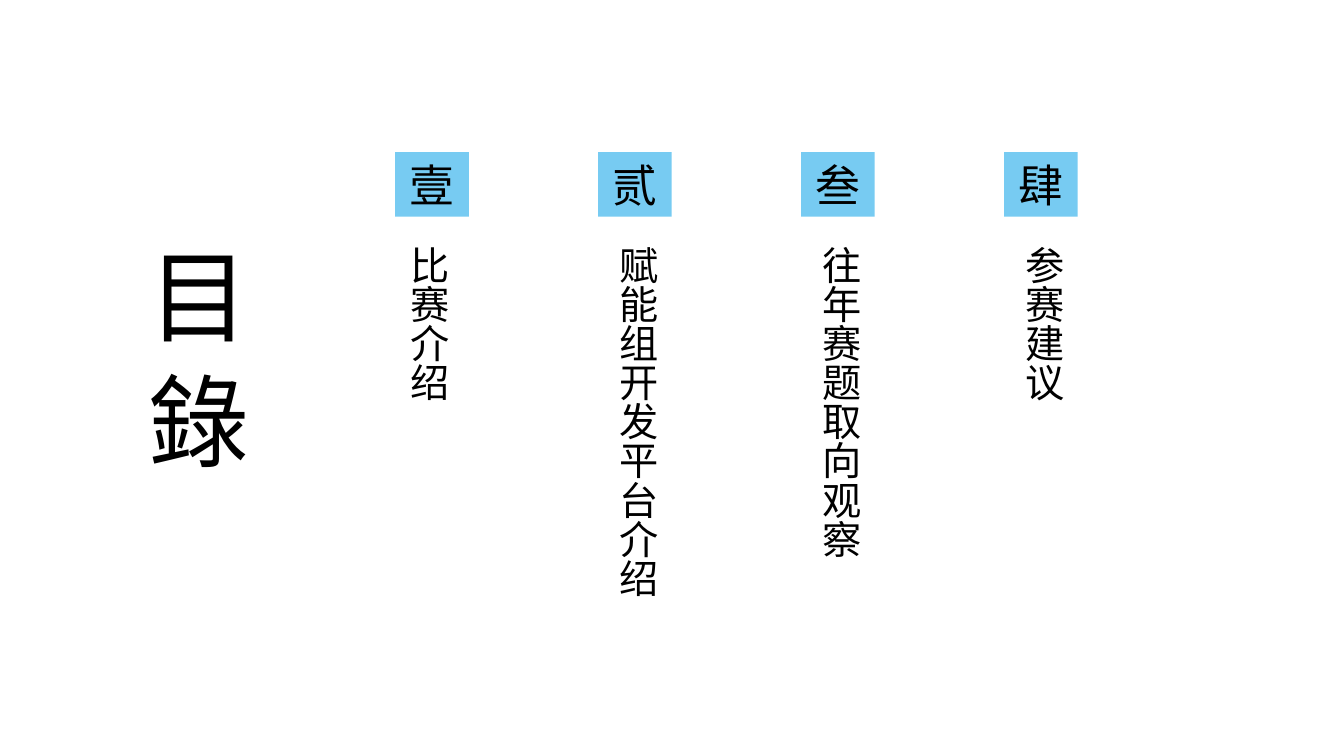
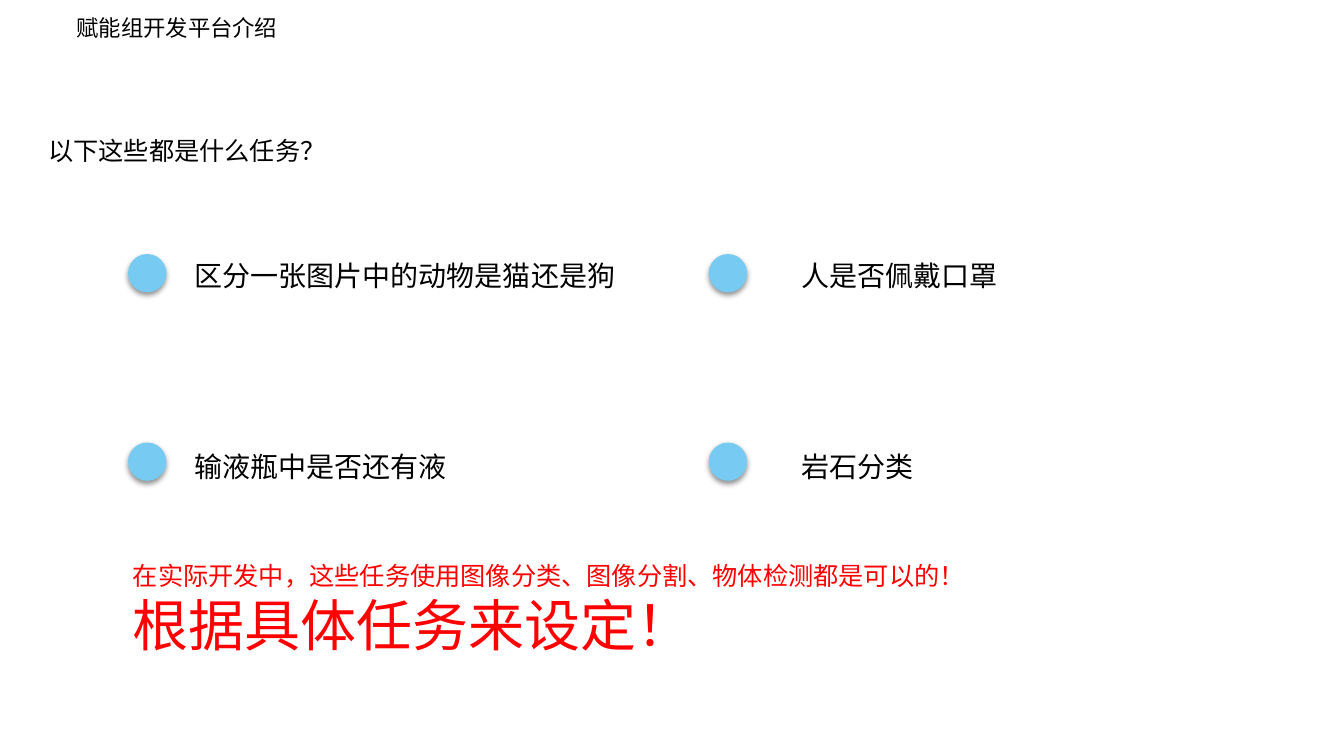
from lxml import etree
from pptx import Presentation
from pptx.dml.color import RGBColor
from pptx.enum.shapes import MSO_SHAPE
from pptx.enum.text import MSO_ANCHOR, MSO_AUTO_SIZE, PP_ALIGN
from pptx.oxml.ns import qn
from pptx.util import Inches, Pt

RECTANGLE, OVAL = MSO_SHAPE.RECTANGLE, MSO_SHAPE.OVAL
MIDDLE, CENTER = MSO_ANCHOR.MIDDLE, PP_ALIGN.CENTER
FIT_SHAPE = MSO_AUTO_SIZE.SHAPE_TO_FIT_TEXT
SKY, BLACK, RED = "77CBF2", "000000", "FF0000"
SANS, TRADITIONAL, LATIN = "Noto Sans CJK SC", "Noto Sans CJK JP", "Arial"


def color(value):
    """Turn a hex string into a colour."""
    return RGBColor.from_string(value)


def add_run(paragraph, text, size, ink=BLACK, font=SANS):
    """Add one run with the same Latin and East Asian typeface."""
    run = paragraph.add_run()
    run.text = text
    run.font.size = Pt(size)
    run.font.color.rgb = color(ink)
    run.font.name = font
    latin = run.font._element.find(qn("a:latin"))
    east_asian = etree.Element(qn("a:ea"), typeface=font)
    latin.addnext(east_asian)


def add_text(slide, box, lines, ink=BLACK, font=SANS, wrap=True,
             vertical=False, align=None, spacing=None):
    """Add a text box with one paragraph for each (text, size) line."""
    shape = slide.shapes.add_textbox(*map(Inches, box))
    frame = shape.text_frame
    frame.word_wrap = wrap
    frame.auto_size = FIT_SHAPE
    if vertical:
        frame._txBody.find(qn("a:bodyPr")).set("vert", "eaVert")
    for index, (text, size) in enumerate(lines):
        paragraph = frame.add_paragraph() if index else frame.paragraphs[0]
        paragraph.alignment = align
        paragraph.line_spacing = spacing
        add_run(paragraph, text, size, ink, font)


def add_plain_shape(slide, kind, box):
    """Add a sky-blue shape without outline or shadow."""
    shape = slide.shapes.add_shape(kind, *map(Inches, box))
    shape.shadow.inherit = False
    shape.fill.solid()
    shape.fill.fore_color.rgb = color(SKY)
    shape.line.fill.background()
    return shape


def add_shadow(shape):
    """Give a shape a soft shadow that falls straight down."""
    effects = shape._element.spPr.find(qn("a:effectLst"))
    shadow = etree.SubElement(
        effects, qn("a:outerShdw"), blurRad=str(Pt(4)), dist=str(Pt(2)),
        dir="5400000", algn="ctr", rotWithShape="0")
    shade = etree.SubElement(shadow, qn("a:srgbClr"), val=BLACK)
    etree.SubElement(shade, qn("a:alpha"), val="43000")


def add_chapter(slide, left, top, numeral, title, height, width=0.91,
                shift=0, spacing=1.5):
    """Add a numeral badge with its vertical chapter title below."""
    badge = add_plain_shape(slide, RECTANGLE, (left, top, 0.73, 0.64))
    frame = badge.text_frame
    frame.word_wrap = True
    frame.vertical_anchor = MIDDLE
    paragraph = frame.paragraphs[0]
    paragraph.alignment = CENTER
    add_run(paragraph, numeral, 32)
    add_text(slide, (left + shift, top + 0.83, width, height), [(title, 28)],
             vertical=True, spacing=spacing)


def add_task(slide, left, top, dot_drop, text, text_shift, width):
    """Add a shadowed dot and the task written beside it."""
    add_shadow(add_plain_shape(slide, OVAL, (left, top + dot_drop, 0.38, 0.38)))
    add_text(slide, (left + text_shift, top, width, 0.44), [(text, 20)],
             wrap=False)


def build_contents(slide):
    """Build the table of contents."""
    add_text(slide, (1.18, 2.34, 1.41, 3.14), [("目 錄", 72)],
             font=TRADITIONAL, vertical=True, align=CENTER)
    first_left, pitch, top = 3.92, 2.013, 1.51
    first_style = {"width": 0.67, "shift": -0.06, "spacing": None}
    chapters = [
        ("壹", "比赛介绍", 2.32, first_style),
        ("贰", "赋能组开发平台介绍", 3.74, {}),
        ("叁", "往年赛题取向观察", 3.55, {}),
        ("肆", "参赛建议", 2.32, {}),
    ]
    for index, (numeral, title, height, style) in enumerate(chapters):
        add_chapter(slide, first_left + index * pitch, top, numeral, title,
                    height, **style)


def build_tasks(slide):
    """Build the question about four tasks and its answer."""
    add_text(slide, (0.66, 0.09, 4.04, 0.37), [("赋能组开发平台介绍", 16)])
    add_text(slide, (0.38, 1.29, 12.51, 0.4), [("以下这些都是什么任务？", 18)],
             font=LATIN)
    columns = [(1.27, 0.56), (7.03, 0.82)]
    rows = [
        (2.52, 0, [("区分一张图片中的动物是猫还是狗", 4.41),
                   ("人是否佩戴口罩", 2.17)]),
        (4.41, -0.02, [("输液瓶中是否还有液", 2.73), ("岩石分类", 1.32)]),
    ]
    for top, dot_drop, tasks in rows:
        for (left, text_shift), (text, width) in zip(columns, tasks):
            add_task(slide, left, top, dot_drop, text, text_shift, width)
    add_text(slide, (1.22, 5.51, 11.62, 1.08), [
        ("在实际开发中，这些任务使用图像分类、图像分割、物体检测都是可以的！", 18),
        ("根据具体任务来设定！", 40),
    ], ink=RED)


def main():
    """Build and save the presentation."""
    presentation = Presentation()
    presentation.slide_width = Inches(13.33)
    presentation.slide_height = Inches(7.5)
    blank = presentation.slide_layouts[6]
    for build in (build_contents, build_tasks):
        build(presentation.slides.add_slide(blank))
    presentation.save("out.pptx")


if __name__ == "__main__":
    main()
